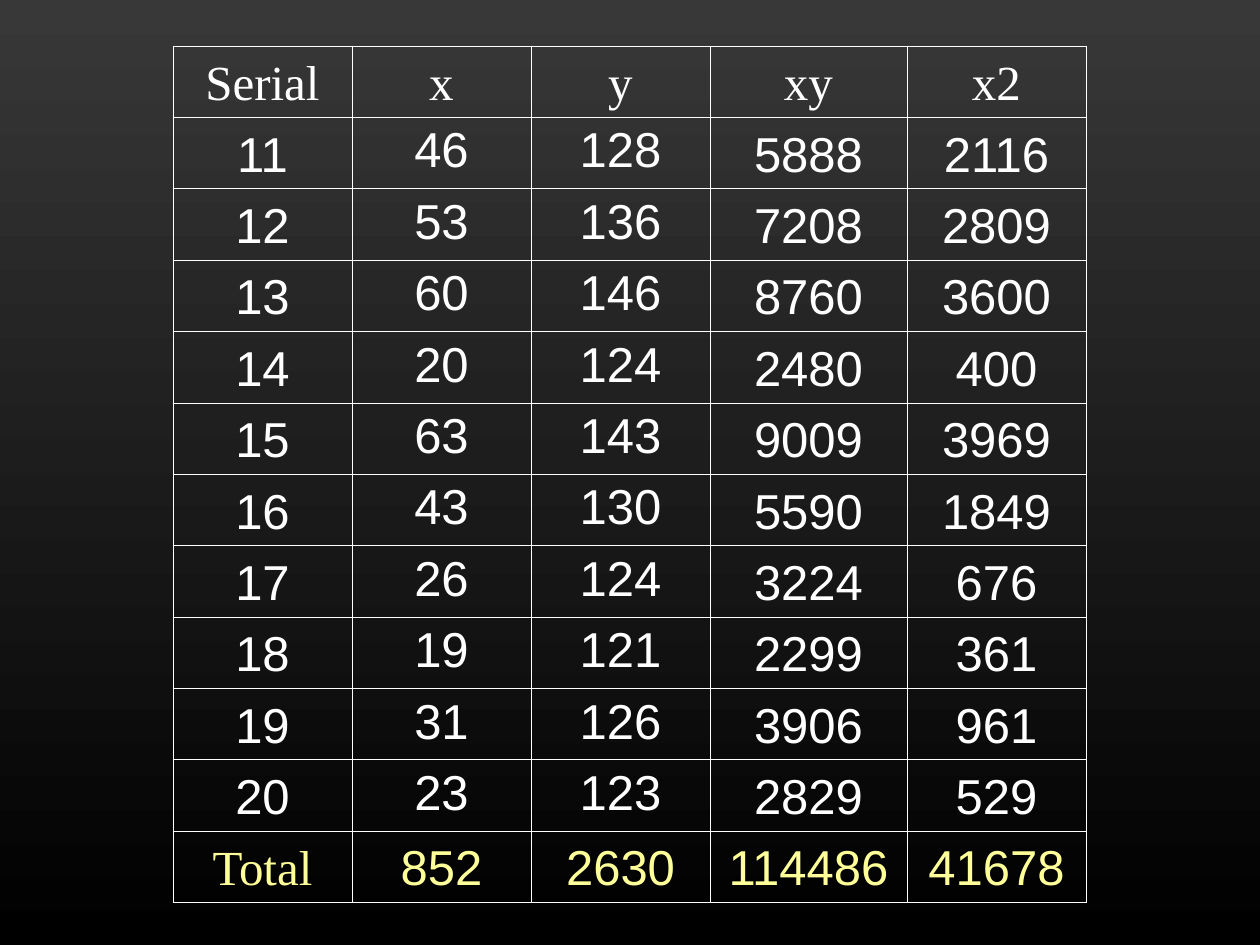
import pptx
import pptx.dml.color
import pptx.enum.text
import pptx.oxml
import pptx.oxml.ns
import pptx.util

ROWS = [
    ("Serial", "x", "y", "xy", "x2"),
    ("11", "46", "128", "5888", "2116"),
    ("12", "53", "136", "7208", "2809"),
    ("13", "60", "146", "8760", "3600"),
    ("14", "20", "124", "2480", "400"),
    ("15", "63", "143", "9009", "3969"),
    ("16", "43", "130", "5590", "1849"),
    ("17", "26", "124", "3224", "676"),
    ("18", "19", "121", "2299", "361"),
    ("19", "31", "126", "3906", "961"),
    ("20", "23", "123", "2829", "529"),
    ("Total", "852", "2630", "114486", "41678"),
]
COLUMN_WIDTHS = [179, 179, 179, 197, 179]
TABLE_LEFT, TABLE_TOP, TABLE_HEIGHT = 173, 46, 857
TOP_ANCHORED_COLUMNS = (1, 2)

THEME = {
    "background": ("383838", "000000"),
    "text": "FFFFFF",
    "total": "FFFF99",
    "border": "FFFFFF",
    "border_width": 0.45,
    "size": 28,
    "font": "Times New Roman",
    "digit_font": "Arial",
}


def px(length):
    return pptx.util.Emu(round(length * 914400 / 126))


def rgb(value):
    return pptx.dml.color.RGBColor.from_string(value)


def add_borders(cell):
    properties = cell._tc.get_or_add_tcPr()
    width = pptx.util.Pt(THEME["border_width"])
    for side in ("lnL", "lnR", "lnT", "lnB"):
        properties.append(pptx.oxml.parse_xml(
            f'<a:{side} {pptx.oxml.ns.nsdecls("a")} w="{width}"><a:solidFill>'
            f'<a:srgbClr val="{THEME["border"]}"/></a:solidFill></a:{side}>'))


def write_cell(cell, text, color, anchor):
    add_borders(cell)
    cell.fill.background()
    cell.vertical_anchor = anchor
    cell.text_frame.text = text
    paragraph = cell.text_frame.paragraphs[0]
    paragraph.alignment = pptx.enum.text.PP_ALIGN.CENTER
    paragraph._p.get_or_add_pPr().set("rtl", "1")
    run = paragraph.runs[0]
    run.font.size = pptx.util.Pt(THEME["size"])
    run.font.name = THEME["font"]
    run.font.color.rgb = rgb(color)
    run._r.get_or_add_rPr().append(pptx.oxml.parse_xml(
        f'<a:cs {pptx.oxml.ns.nsdecls("a")} typeface="{THEME["digit_font"]}"/>'))


def paint_background(slide):
    fill = slide.background.fill
    fill.gradient()
    fill.gradient_angle = 270
    for stop, color in zip(fill.gradient_stops, THEME["background"]):
        stop.color.rgb = rgb(color)


def add_data_table(slide):
    table = slide.shapes.add_table(
        len(ROWS), len(COLUMN_WIDTHS), px(TABLE_LEFT), px(TABLE_TOP),
        px(sum(COLUMN_WIDTHS)), px(TABLE_HEIGHT)).table
    table.first_row = False
    table.horz_banding = False
    for column, width in zip(table.columns, COLUMN_WIDTHS):
        column.width = px(width)
    last = len(ROWS) - 1
    for row_index, values in enumerate(ROWS):
        table.rows[row_index].height = px(TABLE_HEIGHT / len(ROWS))
        color = THEME["total" if row_index == last else "text"]
        for column_index, text in enumerate(values):
            at_top = 0 < row_index < last and column_index in TOP_ANCHORED_COLUMNS
            anchors = pptx.enum.text.MSO_ANCHOR
            write_cell(table.cell(row_index, column_index), text, color,
                       anchors.TOP if at_top else anchors.BOTTOM)


def main():
    presentation = pptx.Presentation()
    presentation.slide_width = px(1260)
    presentation.slide_height = px(945)
    slide = presentation.slides.add_slide(presentation.slide_layouts[6])
    paint_background(slide)
    add_data_table(slide)
    presentation.save("out.pptx")


if __name__ == "__main__":
    main()
